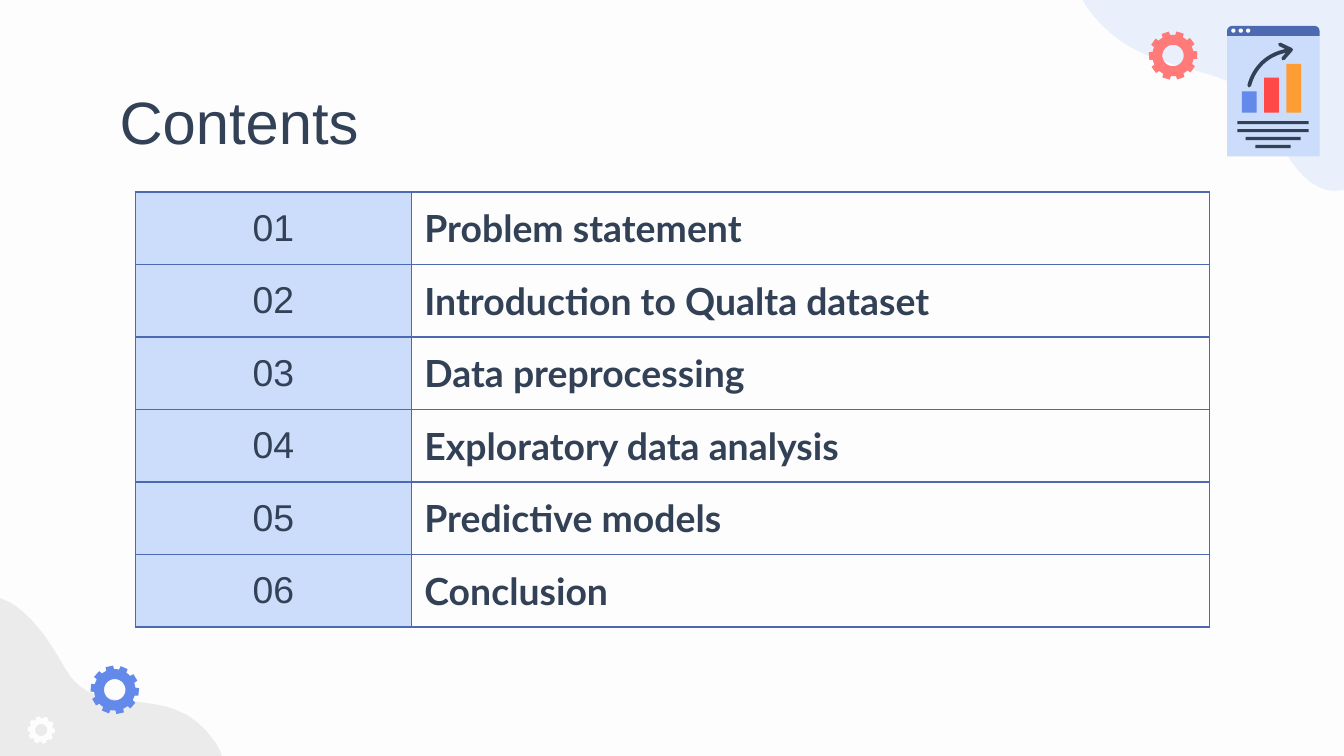
from dataclasses import dataclass
from math import cos, radians, sin

from lxml.etree import SubElement
from pptx import Presentation
from pptx.dml.color import RGBColor
from pptx.enum.shapes import MSO_SHAPE
from pptx.enum.text import MSO_ANCHOR, PP_ALIGN
from pptx.oxml.ns import qn
from pptx.util import Cm, Pt


@dataclass(frozen=True)
class Theme:
    """Colours, fonts and type sizes of the slide."""
    paper: str = "FDFDFD"
    ink: str = "334157"
    pale: str = "CBDDFA"
    gray: str = "EBEBEB"
    navy: str = "4C69B2"
    blue: str = "6389EB"
    red: str = "FF4949"
    coral: str = "FF7A78"
    amber: str = "FF9D35"
    sans: str = "Arial"
    bold: str = "Lato"
    head: int = 32
    body: int = 20


LOOK = Theme()
TOPICS = ["Problem statement", "Introduction to Qualta dataset",
          "Data preprocessing", "Exploratory data analysis",
          "Predictive models", "Conclusion"]
CLOUD = [(23.14, -5.03),
         (24.33, -5.59, 25.76, -3.53, 26.77, -2.34),
         (27.38, -1.68, 27.33, -1.78, 28.45, -0.74),
         (29.34, 0.08, 29.21, 0.76, 28.8, 1.07),
         (28.68, 1.17, 28.55, 1.22, 28.42, 1.24),
         (27.79, 1.35, 27.51, 1.3, 26.37, 2.82),
         (25.2, 4.32, 24.49, 3.43, 23.98, 2.26),
         (23.47, 1.09, 21.89, 1.57, 20.83, 0.48),
         (19.76, -0.58, 20.57, -1.37, 21.67, -2.01),
         (22.73, -2.67, 21.72, -4.01, 22.96, -4.9)]
HILL = [(4.06, 14.02),
        (4.11, 14.1, 4.14, 14.16, 4.17, 14.22),
        (4.7, 15.44, 2.57, 16.76, 1.37, 17.75),
        (0.66, 18.34, 0.79, 18.31, -0.3, 19.38),
        (-1.14, 20.22, -1.83, 20.09, -2.11, 19.69),
        (-2.18, 19.58, -2.24, 19.43, -2.26, 19.28),
        (-2.36, 18.64, -2.31, 18.36, -3.76, 17.17),
        (-5.23, 15.95, -4.32, 15.29, -3.15, 14.81),
        (-1.96, 14.33, -2.36, 12.75, -1.27, 11.73),
        (-0.15, 10.69, 0.61, 11.53, 1.22, 12.62),
        (1.83, 13.74, 3.2, 12.75, 4.06, 14.02)]


def tint(color):
    """Turn a hex string into a colour."""
    return RGBColor.from_string(color)


def paint(shape, color):
    """Give a shape a flat fill without line or shadow."""
    shape.shadow.inherit = False
    shape.fill.solid()
    shape.fill.fore_color.rgb = tint(color)
    shape.line.fill.background()
    return shape


def block(slide, kind, left, top, width, height, color):
    """Add a flat preset shape."""
    box = Cm(left), Cm(top), Cm(width), Cm(height)
    return paint(slide.shapes.add_shape(kind, *box), color)


def bend(start, curves, steps=16):
    """Sample a chain of cubic curves as points."""
    points = [start]
    for a, b, c, d, e, f in curves:
        x, y = points[-1]
        for step in range(1, steps + 1):
            t = step / steps
            s = 1 - t
            mix = s**3, 3 * s * s * t, 3 * s * t * t, t**3
            points.append((sum(m * v for m, v in zip(mix, (x, a, c, e))),
                           sum(m * v for m, v in zip(mix, (y, b, d, f)))))
    return points


def trace(slide, rings, close=True):
    """Build one outline from lists of points."""
    rings = [[(Cm(x), Cm(y)) for x, y in ring] for ring in rings]
    pen = slide.shapes.build_freeform(*rings[0][0])
    for ring in rings:
        if ring is not rings[0]:
            pen.move_to(*ring[0])
        pen.add_line_segments(ring[1:], close=close)
    return pen.convert_to_shape()


def blob(slide, path, color, alpha=100):
    """Add a soft corner form."""
    shape = paint(trace(slide, [bend(path[0], path[1:])]), color)
    if alpha < 100:
        tone = shape._element.spPr.find(".//" + qn("a:srgbClr"))
        SubElement(tone, qn("a:alpha"), val=str(alpha * 1000))


def gear(slide, x, y, size, turn, color):
    """Add a ten-tooth gear with a round hole."""
    def spot(angle, reach):
        """Find a point around the hub."""
        return x + reach * cos(radians(angle)), y + reach * sin(radians(angle))

    root = size * 0.85
    teeth = [spot(turn + 36 * k + angle, reach) for k in range(10)
             for angle, reach in ((-11, root), (-9, size), (9, size),
                                  (11, root), (18, root))]
    hole = [spot(-10 * k, size * 0.44) for k in range(36)]
    paint(trace(slide, [teeth, hole]), color)


def report(slide):
    """Draw the small report page with its bars and arrow."""
    rect = MSO_SHAPE.RECTANGLE
    block(slide, rect, 23.19, 0.68, 1.75, 2.28, LOOK.pale)
    bar = block(slide, MSO_SHAPE.ROUND_2_SAME_RECTANGLE,
                23.19, 0.49, 1.75, 0.19, LOOK.navy)
    bar.adjustments[0] = 0.5
    for k in range(3):
        block(slide, MSO_SHAPE.OVAL, 23.27 + 0.14 * k, 0.54, 0.08, 0.08,
              LOOK.paper)
    for k, color in enumerate((LOOK.blue, LOOK.red, LOOK.amber)):
        tall = 0.4 + 0.26 * k
        block(slide, rect, 23.47 + 0.42 * k, 2.13 - tall, 0.28, tall, color)
    for k, wide in enumerate((1.35, 1.35, 1.04, 0.67)):
        block(slide, rect, 24.06 - wide / 2, 2.29 + 0.15 * k, wide, 0.06,
              LOOK.ink)
    shaft = bend((23.61, 1.62), [(23.66, 1.42, 23.84, 1.02, 24.38, 0.95)])
    head = [(24.19, 0.84), (24.4, 0.94), (24.25, 1.11)]
    arrow = trace(slide, [shaft, head], close=False)
    arrow.shadow.inherit = False
    arrow.fill.background()
    arrow.line.color.rgb = tint(LOOK.ink)
    arrow.line.width = Pt(2)
    line = arrow.line._get_or_add_ln()
    line.set("cap", "rnd")
    SubElement(line, qn("a:round"))


def write(para, text, font, size, bold=False):
    """Add one styled run."""
    run = para.add_run()
    run.text = text
    run.font.name = font
    run.font.size = Pt(size)
    run.font.bold = bold
    run.font.color.rgb = tint(LOOK.ink)


def title(slide, text):
    """Place and fill the title."""
    shape = slide.shapes.title
    shape.left, shape.top = Cm(2.01), Cm(1.24)
    shape.width, shape.height = Cm(21.41), Cm(1.6)
    frame = shape.text_frame
    frame.vertical_anchor = MSO_ANCHOR.TOP
    frame.margin_left = frame.margin_right = Cm(0.25)
    frame.margin_top, frame.margin_bottom = Cm(0.36), 0
    para = frame.paragraphs[0]
    para.alignment = PP_ALIGN.LEFT
    write(para, text, LOOK.head and LOOK.sans, LOOK.head)


def frame(cell, color):
    """Set the fill, margins and borders of a cell."""
    cell.vertical_anchor = MSO_ANCHOR.MIDDLE
    cell.margin_left = cell.margin_right = Cm(0.25)
    cell.margin_top = cell.margin_bottom = Cm(0.25)
    props = cell._tc.get_or_add_tcPr()
    for side in ("a:lnL", "a:lnR", "a:lnT", "a:lnB"):
        line = SubElement(props, qn(side), w=str(Pt(0.75)))
        fill = SubElement(line, qn("a:solidFill"))
        SubElement(fill, qn("a:srgbClr"), val=LOOK.navy)
    cell.fill.solid()
    cell.fill.fore_color.rgb = tint(color)


def agenda(slide, topics):
    """Add the numbered table of topics."""
    high = Cm(1.37)
    table = slide.shapes.add_table(len(topics), 2, Cm(2.56), Cm(3.63),
                                   Cm(20.3), high * len(topics)).table
    table.first_row = table.horz_banding = False
    table.columns[0].width, table.columns[1].width = Cm(5.21), Cm(15.09)
    for k, topic in enumerate(topics):
        left, right = table.rows[k].cells
        frame(left, LOOK.pale)
        frame(right, LOOK.paper)
        para = left.text_frame.paragraphs[0]
        para.alignment = PP_ALIGN.CENTER
        write(para, f"{k + 1:02}", LOOK.sans, LOOK.body)
        write(right.text_frame.paragraphs[0], topic, LOOK.bold, LOOK.body, True)


def main():
    """Build and save the contents slide."""
    deck = Presentation()
    deck.slide_width, deck.slide_height = Cm(25.4), Cm(14.29)
    slide = deck.slides.add_slide(deck.slide_layouts[5])
    slide.background.fill.solid()
    slide.background.fill.fore_color.rgb = tint(LOOK.paper)
    blob(slide, CLOUD, LOOK.pale, 39)
    blob(slide, HILL, LOOK.gray)
    report(slide)
    gear(slide, 22.17, 1.05, 0.46, -1, LOOK.coral)
    gear(slide, 2.17, 13.04, 0.46, 5, LOOK.blue)
    gear(slide, 0.78, 13.8, 0.26, 4, LOOK.paper)
    title(slide, "Contents")
    agenda(slide, TOPICS)
    deck.save("out.pptx")


if __name__ == "__main__":
    main()
